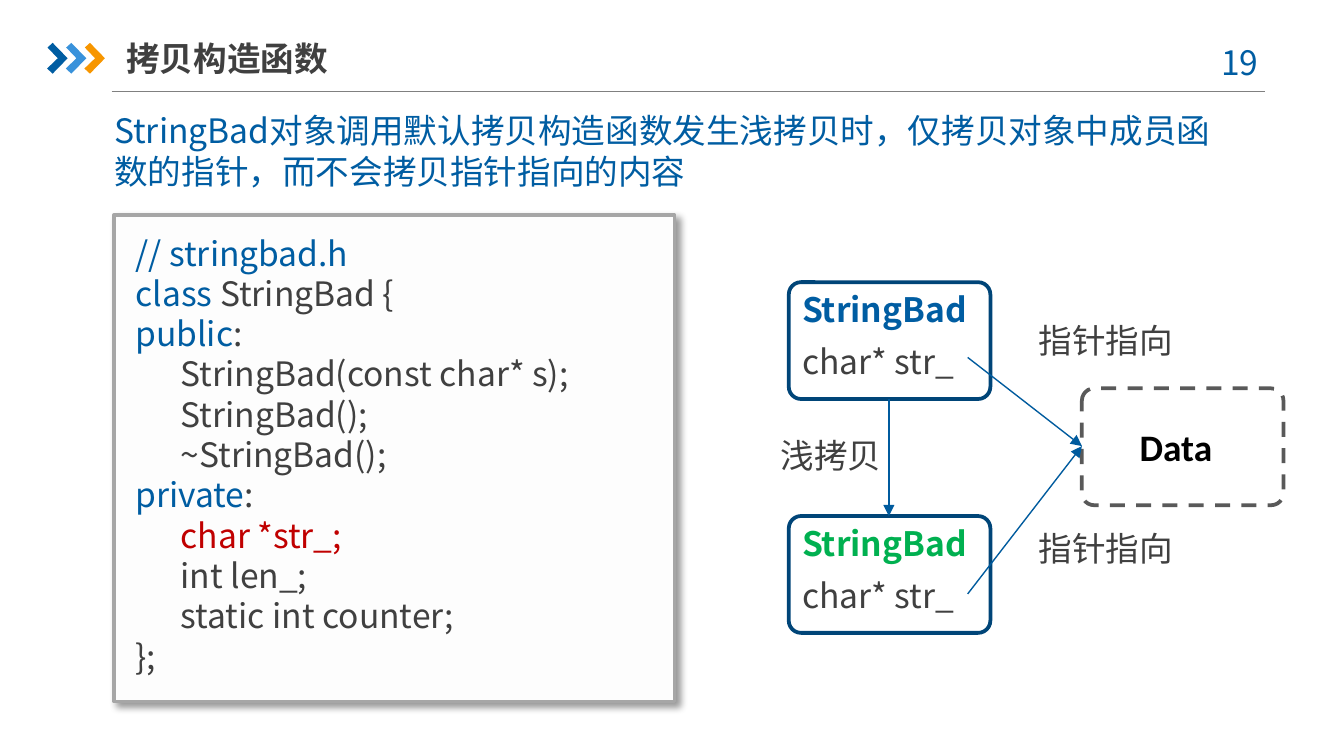
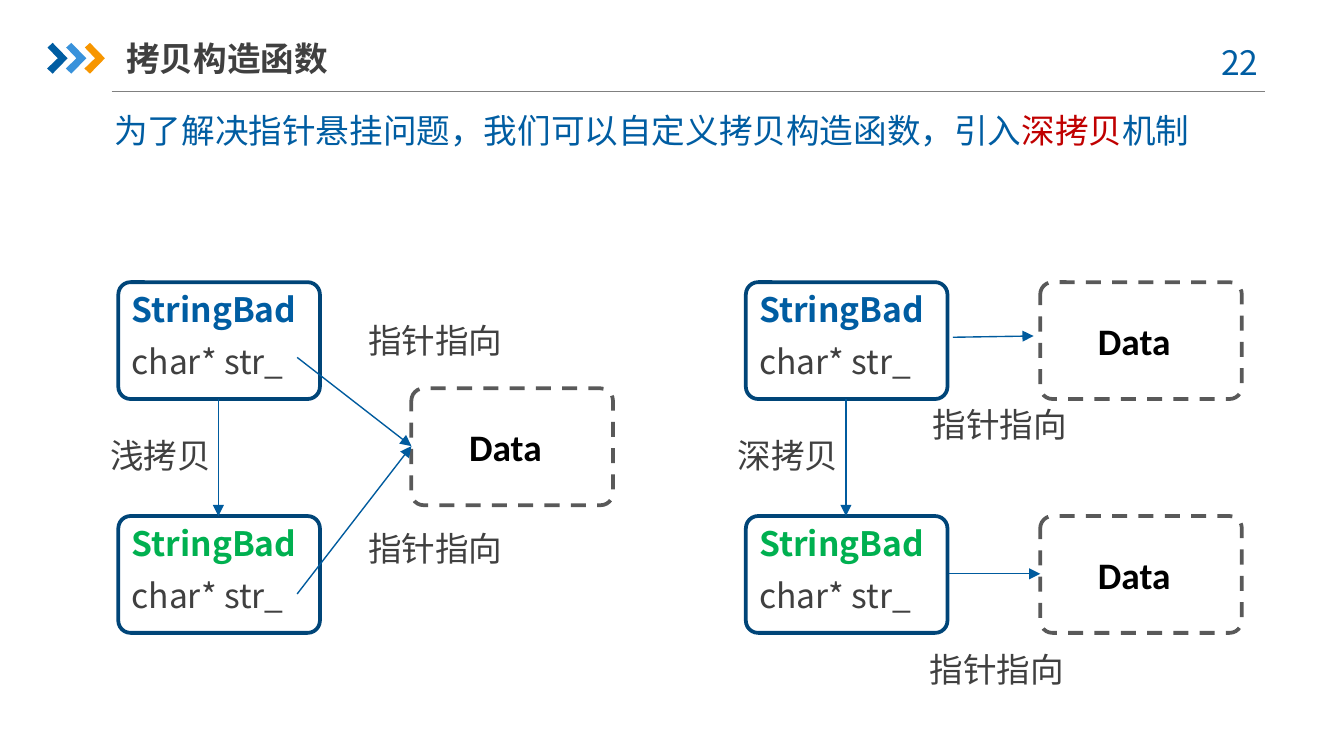
from dataclasses import dataclass

from lxml import etree
from pptx import Presentation
from pptx.dml.color import RGBColor
from pptx.enum.dml import MSO_LINE
from pptx.enum.shapes import MSO_CONNECTOR, MSO_SHAPE
from pptx.enum.text import MSO_ANCHOR, MSO_AUTO_SIZE, PP_ALIGN
from pptx.oxml.ns import qn
from pptx.util import Pt

RECT, ROUND = MSO_SHAPE.RECTANGLE, MSO_SHAPE.ROUNDED_RECTANGLE
LINE, DASH = MSO_CONNECTOR.STRAIGHT, MSO_LINE.DASH
TOP, MIDDLE = MSO_ANCHOR.TOP, MSO_ANCHOR.MIDDLE
LEFT, CENTER = PP_ALIGN.LEFT, PP_ALIGN.CENTER
FIXED = MSO_AUTO_SIZE.NONE


@dataclass(frozen=True)
class Theme:
    blue: str = "005DA2"
    sky: str = "3992DB"
    orange: str = "F79600"
    navy: str = "004578"
    arrow: str = "005B9E"
    green: str = "00B050"
    red: str = "C00000"
    text: str = "404040"
    black: str = "000000"
    dash: str = "595959"
    rule: str = "808080"
    frame: str = "A6A6A6"
    panel: str = "FDFDFD"
    font: str = "Noto Sans CJK SC"
    latin: str = "Calibri"
    size: int = 18
    large: int = 20
    thin: float = 0.75
    thick: float = 2


T = Theme()

# Shared grid of the diagrams, in points
BOX_W, BOX_H = 108, 62.6
UPPER, LOWER, MID = 151.2, 276.5, 208.1
LABEL_W, LINE_H = 90.7, 28.8

INDENT = " " * 6
CODE = [
    [("// stringbad.h", T.blue)],
    [("class ", T.blue), ("StringBad {", T.text)],
    [("public", T.blue), (":", T.text)],
    [(INDENT + "StringBad(const char* s);", T.text)],
    [(INDENT + "StringBad();", T.text)],
    [(INDENT + "~StringBad();", T.text)],
    [("private", T.blue), (":", T.text)],
    [(INDENT + "char *str_;", T.red)],
    [(INDENT + "int len_;", T.text)],
    [(INDENT + "static int counter;", T.text)],
    [("};", T.text)],
]


def rgb(code):
    return RGBColor.from_string(code)


def assign(obj, form):
    for name, value in form.items():
        setattr(obj, name, value)


# Text
def write(frame, paras, size=T.size, bold=False, font=T.font, align=LEFT,
          anchor=TOP, after=0, side=7.2):
    """Fill a frame with paragraphs, each a list of (text, colour) runs."""
    assign(frame, dict(word_wrap=True, auto_size=FIXED, vertical_anchor=anchor,
                       margin_left=Pt(side), margin_right=Pt(side),
                       margin_top=Pt(3.6), margin_bottom=Pt(3.6)))
    for i, runs in enumerate(paras):
        para = frame.add_paragraph() if i else frame.paragraphs[0]
        props = para._p.get_or_add_pPr()
        assign_xml(props, marL=0, indent=0)
        etree.SubElement(props, qn("a:buNone"))
        assign(para, dict(alignment=align, space_before=Pt(0),
                          space_after=Pt(after), line_spacing=1.0))
        for text, color in runs:
            run = para.add_run()
            run.text = text
            assign(run.font, dict(size=Pt(size), bold=bold, name=font))
            run.font.color.rgb = rgb(color)
            east = etree.SubElement(run._r.get_or_add_rPr(), qn("a:ea"))
            east.set("typeface", font)


def assign_xml(node, **form):
    for name, value in form.items():
        node.set(name, str(value))


def label(slide, x, y, w, text, color=T.text, h=LINE_H, **form):
    box = slide.shapes.add_textbox(Pt(x), Pt(y), Pt(w), Pt(h))
    write(box.text_frame, [[(text, color)]], **form)


def holder(shape, x, y, w, h, runs, **form):
    assign(shape, dict(left=Pt(x), top=Pt(y), width=Pt(w), height=Pt(h)))
    write(shape.text_frame, [runs], **form)


# Shapes and lines
def block(slide, kind, x, y, w, h, fill=None, line=None, dash=None):
    shape = slide.shapes.add_shape(kind, Pt(x), Pt(y), Pt(w), Pt(h))
    shape.shadow.inherit = False
    paint(shape, fill)
    if line:
        shape.line.color.rgb = rgb(line)
        assign(shape.line, dict(width=Pt(T.thick), dash_style=dash))
    else:
        shape.line.fill.background()
    if kind == ROUND:
        shape.adjustments[0] = 0.105
    return shape


def paint(shape, fill):
    if fill:
        shape.fill.solid()
        shape.fill.fore_color.rgb = rgb(fill)
    else:
        shape.fill.background()


def link(slide, x1, y1, x2, y2, color=T.arrow, head=True):
    wire = slide.shapes.add_connector(LINE, Pt(x1), Pt(y1), Pt(x2), Pt(y2))
    wire.line.color.rgb = rgb(color)
    wire.line.width = Pt(T.thin)
    if head:
        tip = etree.SubElement(wire.line._get_or_add_ln(), qn("a:tailEnd"))
        tip.set("type", "triangle")
    etree.SubElement(wire._element.spPr, qn("a:effectLst"))


def chevron(slide, x, color):
    shape_pts = [(0.25, 25.5), (3, 23), (11, 31.25),
                 (3, 39.5), (0, 36.75), (5.75, 31.25)]
    pts = [(Pt(x + dx), Pt(y)) for dx, y in shape_pts]
    path = slide.shapes.build_freeform(*pts[0])
    path.add_line_segments(pts[1:], close=True)
    shape = path.convert_to_shape()
    shape.shadow.inherit = False
    paint(shape, color)
    shape.line.fill.background()


# Slide frame: rule, chevrons, number, title and lead text
def page(deck, number, lead, height):
    slide = deck.slides.add_slide(deck.slide_layouts[1])
    link(slide, 59.8, 49.2, 677.5, 49.2, T.rule, head=False)
    for i, color in enumerate((T.blue, T.sky, T.orange)):
        chevron(slide, 25.25 + 10 * i, color)
    label(slide, 637.9, 18.9, 52.6, str(number), T.blue, align=CENTER)
    holder(slide.shapes.title, 67.7, 15.8, 167.8, 30.2,
           [("拷贝构造函数", T.text)], bold=True, anchor=MIDDLE, side=0)
    holder(slide.placeholders[1], 54, 55.4, 607, height, lead, after=6)
    return slide


# Code panel with a soft shadow
def panel(slide):
    back = block(slide, RECT, 61.2, 115.2, 300.2, 260.6, T.panel, T.frame)
    effects = back._element.spPr.find(qn("a:effectLst"))
    shade = etree.SubElement(effects, qn("a:outerShdw"))
    assign_xml(shade, blurRad=Pt(4), dist=Pt(3), dir=45 * 60000,
               algn="tl", rotWithShape=0)
    tone = etree.SubElement(shade, qn("a:srgbClr"))
    tone.set("val", T.black)
    etree.SubElement(tone, qn("a:alpha")).set("val", "40000")
    front = block(slide, RECT, 65.5, 121, 291.6, 247, T.panel)
    write(front.text_frame, CODE)


# Diagram parts
def pair(slide, x, text):
    """Two objects, one above the other, joined by the copy arrow."""
    for y, color in ((UPPER, T.blue), (LOWER, T.green)):
        block(slide, ROUND, x, y, BOX_W, BOX_H, line=T.navy)
        label(slide, x, y, 118.8, "StringBad", color, bold=True)
        label(slide, x, y + 27.8, 118.8, "char* str_")
    link(slide, x + 53.6, UPPER + BOX_H, x + 53.6, LOWER)
    label(slide, x - 11.5, 229.7, LABEL_W, text)


def data(slide, x, y):
    block(slide, ROUND, x, y, BOX_W, BOX_H, line=T.dash, dash=DASH)
    label(slide, x + 23.8, y + 15.6, 60.5, "Data", T.black, h=31.5,
          size=T.large, bold=True, font=T.latin)


def shallow(slide, x):
    pair(slide, x, "浅拷贝")
    data(slide, x + 157, MID)
    for start, y in ((191.5, 167.8), (318.2, 279.4)):
        link(slide, x + 95.8, start, x + 157, 239)
        label(slide, x + 126.7, y, LABEL_W, "指针指向")


def deep(slide, x):
    pair(slide, x, "深拷贝")
    for y in (UPPER, LOWER):
        data(slide, x + 157.7, y)
    link(slide, x + 110.9, 180.7, x + 154.1, 180)
    link(slide, x + 108.7, 307.4, x + 157.7, 307.4)
    for dx, y in ((92.9, 213.1), (91.4, 344.2)):
        label(slide, x + dx, y, LABEL_W, "指针指向")


def main():
    deck = Presentation()
    assign(deck, dict(slide_width=Pt(720), slide_height=Pt(405)))

    # Shallow copy with the class header
    slide = page(deck, 19, [(
        "StringBad对象调用默认拷贝构造函数发生浅拷贝时，"
        "仅拷贝对象中成员函数的指针，而不会拷贝指针指向的内容", T.blue)], 51)
    panel(slide)
    shallow(slide, 422.6)

    # Shallow copy beside deep copy
    slide = page(deck, 22, [
        ("为了解决指针悬挂问题，我们可以自定义拷贝构造函数，引入", T.blue),
        ("深拷贝", T.red), ("机制", T.blue)], LINE_H)
    shallow(slide, 63.4)
    deep(slide, 399.6)

    deck.save("out.pptx")


if __name__ == "__main__":
    main()
